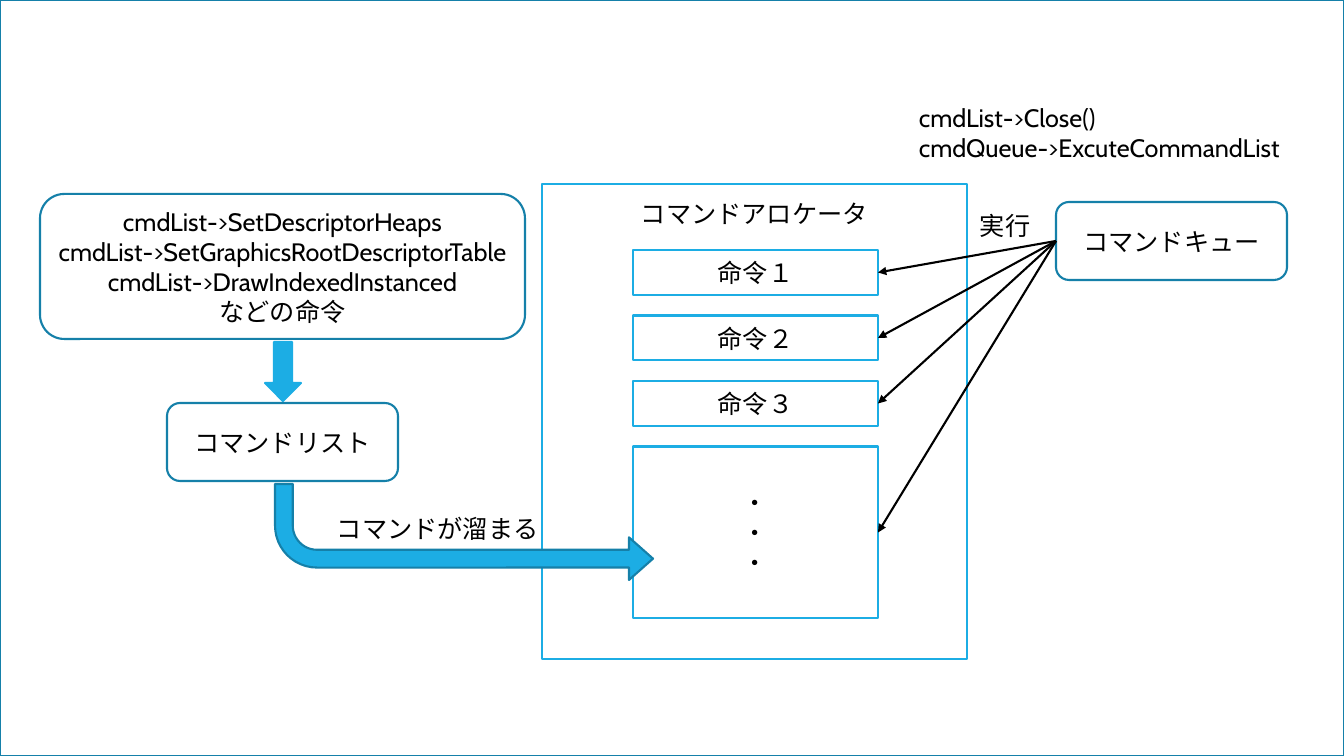
from pptx import Presentation
from pptx.dml.color import RGBColor
from pptx.enum.shapes import MSO_CONNECTOR, MSO_SHAPE
from pptx.enum.text import MSO_ANCHOR, PP_ALIGN
from pptx.oxml.ns import qn
from pptx.util import Pt
from lxml import etree

RECT, ROUND = MSO_SHAPE.RECTANGLE, MSO_SHAPE.ROUNDED_RECTANGLE
DOWN, BENT = MSO_SHAPE.DOWN_ARROW, MSO_SHAPE.BENT_ARROW
STRAIGHT = MSO_CONNECTOR.STRAIGHT
LEFT, CENTER = PP_ALIGN.LEFT, PP_ALIGN.CENTER
TOP, MIDDLE = MSO_ANCHOR.TOP, MSO_ANCHOR.MIDDLE

COLORS = {"sky": "1CADE4", "sea": "1580A9", "white": "FFFFFF", "black": "000000"}
FONT = "Cabin"
SCALE = 914400 / 100.8
WIDE, HIGH = 1344, 756

STEPS = [(["命令１"], 45), (["命令２"], 45), (["命令３"], 45), (["・"] * 3, 172)]
STEP_X, STEP_Y, STEP_W, PITCH = 633, 250, 245, 65.5
ALLOC = (542, 184, 425, 475)
QUEUE = (1056, 202, 231, 78)
CARDS = [
    (["コマンドリスト"], (167, 403, 231, 78)),
    (["cmdList->SetDescriptorHeaps", "cmdList->SetGraphicsRootDescriptorTable",
      "cmdList->DrawIndexedInstanced", "などの命令"], (40, 194, 485, 145)),
    (["コマンドキュー"], QUEUE),
]
LABELS = [
    (["コマンドアロケータ"], (631, 193, 249, 40), False),
    (["実行"], (970, 205, 74, 40), True),
    (["コマンドが溜まる"], (327, 508, 223, 40), True),
    (["cmdList->Close()", "cmdQueue->ExcuteCommandList"], (909, 97, 394, 72), True),
]
DROP = (265, 342, 36, 59)
FLOW = (275, 484, 378, 96)
FLOW_ADJ = (0.185, 0.222, 0.25, 0.438)


def emu(*vals):
    """Turn pixels into EMU."""
    return [round(v * SCALE) for v in vals]


def color(name):
    """Look up a colour by name."""
    return RGBColor.from_string(COLORS[name])


def write(shape, lines, align=CENTER, anchor=MIDDLE, wrap=True, size=18):
    """Put one paragraph per line into a shape."""
    frame = shape.text_frame
    frame.word_wrap, frame.vertical_anchor = wrap, anchor
    frame.text = "\n".join(lines)
    for para in frame.paragraphs:
        para.alignment = align
        para.font.size, para.font.name = Pt(size), FONT
        para.font.color.rgb = color("black")


def draw(slide, kind, box, line, fill=None):
    """Add an outlined shape, filled or clear."""
    shape = slide.shapes.add_shape(kind, *emu(*box))
    shape.shadow.inherit = False
    shape.line.color.rgb, shape.line.width = color(line), Pt(1.5)
    if fill:
        shape.fill.solid()
        shape.fill.fore_color.rgb = color(fill)
    else:
        shape.fill.background()
    return shape


def arrow(slide, start, end):
    """Add a black line with a triangle at its end."""
    link = slide.shapes.add_connector(STRAIGHT, *emu(*start, *end))
    link.line.color.rgb, link.line.width = color("black"), Pt(1.5)
    etree.SubElement(link.line._get_or_add_ln(), qn("a:tailEnd"), type="triangle")
    etree.SubElement(link._element.spPr, qn("a:effectLst"))


def main():
    """Build and save the slide."""
    deck = Presentation()
    deck.slide_width, deck.slide_height = emu(WIDE, HIGH)
    slide = deck.slides.add_slide(deck.slide_layouts[6])
    back = slide.background.fill
    back.solid()
    back.fore_color.rgb = color("sky")
    draw(slide, RECT, (0, 0, WIDE, HIGH), "sea", "white")
    draw(slide, RECT, ALLOC, "sky")

    ends = []
    for i, (lines, tall) in enumerate(STEPS):
        top = STEP_Y + i * PITCH
        write(draw(slide, RECT, (STEP_X, top, STEP_W, tall), "sky"), lines)
        ends.append((STEP_X + STEP_W, top + tall / 2))

    for lines, box in CARDS:
        write(draw(slide, ROUND, box, "sea"), lines)

    draw(slide, DOWN, DROP, "sky", "sky")
    flow = draw(slide, BENT, FLOW, "sea", "sky")
    for i, part in enumerate(FLOW_ADJ):
        flow.adjustments[i] = part
    flow._element.spPr.xfrm.set("flipV", "1")

    x, y, _, tall = QUEUE
    for end in ends:
        arrow(slide, (x, y + tall / 2), end)

    for lines, box, wrap in LABELS:
        label = slide.shapes.add_textbox(*emu(*box))
        write(label, lines, align=LEFT, anchor=TOP, wrap=wrap)

    deck.save("out.pptx")


main()
